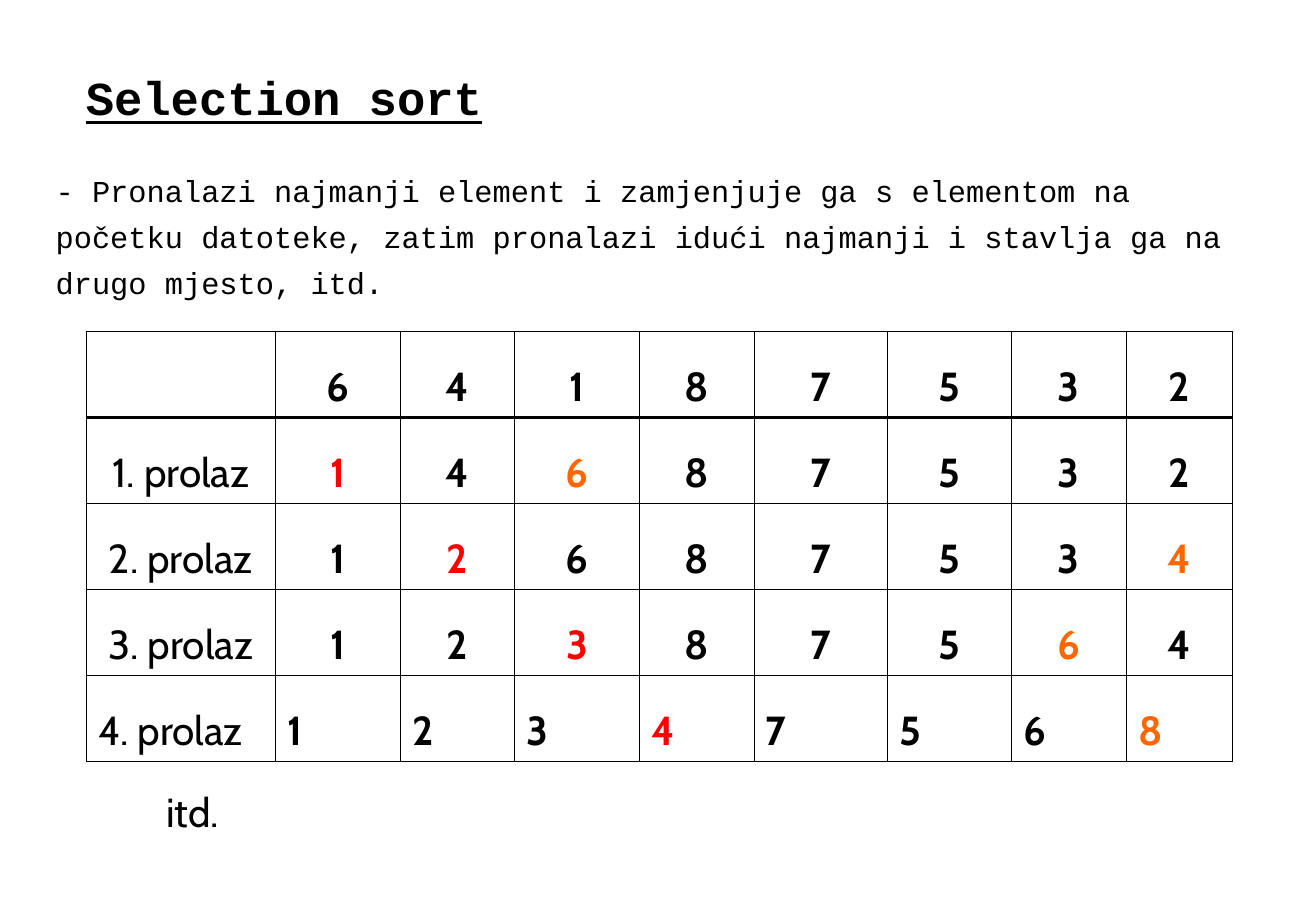
from dataclasses import dataclass

from lxml import etree
from pptx import Presentation
from pptx import util as u
from pptx.dml.color import RGBColor
from pptx.enum import text
from pptx.oxml import ns

COLUMNS, ROWS = 108.4, 75  # slide grid, ten units to the inch
BLACK, RED, ORANGE = "000000", "FF0000", "FF6600"
THIN, THICK = 0.34, 1.47
NUMBERS = [6, 4, 1, 8, 7, 5, 3, 2]
PASSES = 4
TABLE_COLUMNS = [15.6, 10.3, 9.4, 10.3, 9.4, 11, 10.2, 9.5, 8.7]
TABLE_ROW = 7.04


@dataclass
class Caption:
    lines: list[str]
    left: float
    top: float
    width: float
    height: float
    format: dict
    inset_top: float = 0.8
    space_before: float = 0
    align: text.PP_ALIGN = text.PP_ALIGN.LEFT


@dataclass
class Entry:
    content: str
    color: str = BLACK
    bold: bool = True


CAPTIONS = [
    Caption(["Selection sort"], 6.1, 4.4, 34.6, 5.7,
            dict(name="Courier New", size=u.Pt(28), bold=True, underline=True),
            inset_top=1.2),
    Caption(["- Pronalazi najmanji element i zamjenjuje ga s elementom na",
             "početku datoteke, zatim pronalazi idući najmanji i stavlja ga na",
             "drugo mjesto, itd."], 3.6, 13.4, 98, 11.3,
            dict(name="Courier New", size=u.Pt(18)),
            space_before=5.7, align=text.PP_ALIGN.JUSTIFY),
    Caption(["itd."], 12.7, 64, 7, 5, dict(name="Cabin", size=u.Pt(24))),
]


def grid(units: float) -> u.Length:
    return u.Inches(units / 10)


def rgb(color: str) -> RGBColor:
    return RGBColor.from_string(color)


def style_font(font, color: str, values: dict) -> None:
    for name, value in values.items():
        setattr(font, name, value)
    font.color.rgb = rgb(color)


def add_caption(slide, caption: Caption) -> None:
    box = slide.shapes.add_textbox(*map(grid, (
        caption.left, caption.top, caption.width, caption.height)))
    frame = box.text_frame
    frame.word_wrap = False
    frame.margin_top = grid(caption.inset_top)
    for index, line in enumerate(caption.lines):
        paragraph = frame.add_paragraph() if index else frame.paragraphs[0]
        paragraph.alignment = caption.align
        if index:
            paragraph.space_before = u.Pt(caption.space_before)
        run = paragraph.add_run()
        run.text = line
        style_font(run.font, BLACK, caption.format)


def sort_passes() -> list[list[Entry]]:
    """Table rows of a selection sort, with the two swapped numbers marked."""
    numbers = list(NUMBERS)
    table_rows = [[Entry("")] + [Entry(str(n)) for n in numbers]]
    for place in range(PASSES):
        smallest = numbers.index(min(numbers[place:]))
        numbers[place], numbers[smallest] = numbers[smallest], numbers[place]
        marks = {smallest: ORANGE, place: RED}
        table_rows.append([Entry(f"{place + 1}. prolaz", bold=False)] + [
            Entry(str(n), marks.get(i, BLACK)) for i, n in enumerate(numbers)])
    return table_rows


def draw_borders(cell, widths: dict[str, float]) -> None:
    properties = cell._tc.get_or_add_tcPr()
    for side, width in widths.items():
        line = etree.SubElement(properties, ns.qn(f"a:ln{side}"), w=str(u.Pt(width)))
        fill = etree.SubElement(line, ns.qn("a:solidFill"))
        etree.SubElement(fill, ns.qn("a:srgbClr"), val=BLACK)


def fill_cell(cell, entry: Entry, align: text.PP_ALIGN) -> None:
    cell.fill.background()
    cell.vertical_anchor = text.MSO_ANCHOR.MIDDLE
    paragraph = cell.text_frame.paragraphs[0]
    paragraph.alignment = align
    paragraph.line_spacing = 1.5
    if entry.content:
        run = paragraph.add_run()
        run.text = entry.content
        style_font(run.font, entry.color,
                   dict(name="Cabin", size=u.Pt(24), bold=entry.bold))


def add_sort_table(slide) -> None:
    passes = sort_passes()
    table = slide.shapes.add_table(
        len(passes), len(TABLE_COLUMNS), grid(7.1), grid(27.3),
        grid(sum(TABLE_COLUMNS)), grid(TABLE_ROW * len(passes))).table
    table.first_row = table.horz_banding = False
    for column, width in zip(table.columns, TABLE_COLUMNS):
        column.width = grid(width)
    for index, (row, entries) in enumerate(zip(table.rows, passes)):
        row.height = grid(TABLE_ROW)
        align = text.PP_ALIGN.LEFT if index == PASSES else text.PP_ALIGN.CENTER
        widths = dict(L=THIN, R=THIN, T=THICK if index == 1 else THIN,
                      B=THICK if index == 0 else THIN)
        for cell, entry in zip(row.cells, entries):
            draw_borders(cell, widths)
            fill_cell(cell, entry, align)


def main() -> None:
    deck = Presentation()
    deck.slide_width, deck.slide_height = grid(COLUMNS), grid(ROWS)
    slide = deck.slides.add_slide(deck.slide_layouts[6])
    add_sort_table(slide)
    for caption in CAPTIONS:
        add_caption(slide, caption)
    deck.save("out.pptx")


if __name__ == "__main__":
    main()
